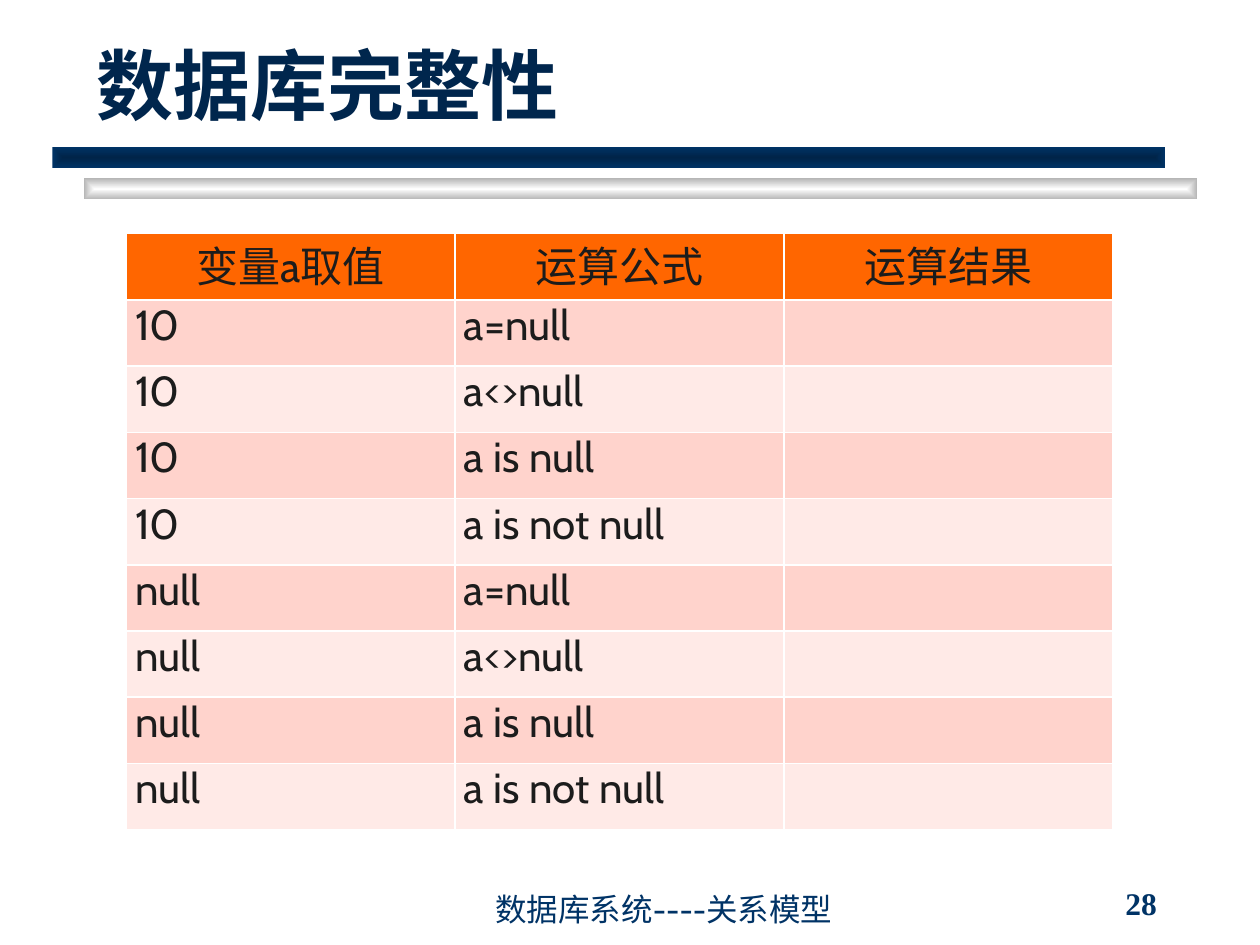
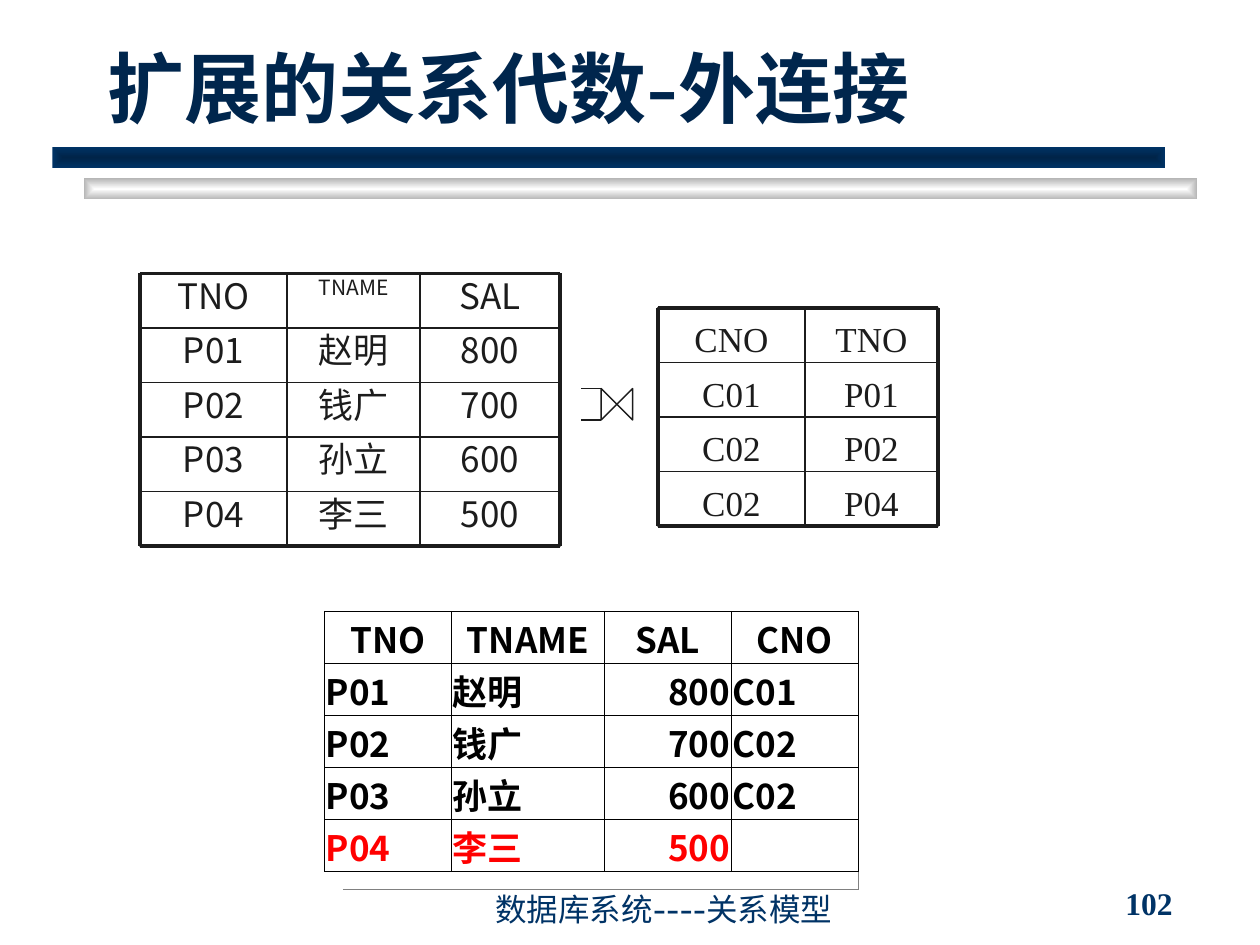
from itertools import accumulate

from lxml import etree
from pptx import Presentation
from pptx.dml.color import RGBColor
from pptx.enum.shapes import MSO_CONNECTOR, MSO_SHAPE
from pptx.enum.text import MSO_ANCHOR, MSO_AUTO_SIZE, PP_ALIGN
from pptx.oxml.ns import qn
from pptx.util import Pt

LEFT, CENTER, RIGHT, JUSTIFY = (PP_ALIGN.LEFT, PP_ALIGN.CENTER,
                                PP_ALIGN.RIGHT, PP_ALIGN.JUSTIFY)
TOP, MIDDLE, BOTTOM = MSO_ANCHOR.TOP, MSO_ANCHOR.MIDDLE, MSO_ANCHOR.BOTTOM
RECT, COLLATE = MSO_SHAPE.RECTANGLE, MSO_SHAPE.FLOWCHART_COLLATE
STRAIGHT = MSO_CONNECTOR.STRAIGHT
NO_AUTOFIT = MSO_AUTO_SIZE.NONE

COLORS = {
    "title": "00264D", "footer": "003366", "ink": "1C1C1C",
    "black": "000000", "white": "FFFFFF", "red": "FF0000", "gray": "808080",
    "header": "FF6600", "odd": "FFD3CC", "even": "FFEAE7",
}
CABIN, NOTO, TIMES = "Cabin", "Noto Sans CJK JP", "Times New Roman"
FOOTER = "数据库系统----关系模型"
SHADE = "46275"

# left, top, colour, index of the shaded gradient stop (0 centre, 1 edge)
BANDS = [(48, 102, "white", 1), (30, 84, "footer", 0)]


def add_run(p, text, size, font, color, bold=False):
    r = p.add_run()
    r.text = text
    r.font.size, r.font.name, r.font.bold = Pt(size), font, bold
    r.font.color.rgb = RGBColor.from_string(COLORS[color])


def add_grid(s, rows, left, top, widths, row_height, size, font, aligns, margins,
             line, line_width, bold=False, anchor=TOP, colors=None, fills=None):
    """Add a table whose first row is centred; colors and fills go by row."""
    shape = s.shapes.add_table(len(rows), len(widths), Pt(left), Pt(top),
                               Pt(sum(widths)), Pt(row_height * len(rows)))
    table = shape.table
    table.first_row = table.horz_banding = False
    for column, width in zip(table.columns, widths):
        column.width = Pt(width)
    for i, row in enumerate(rows):
        table.rows[i].height = Pt(row_height)
        for j, text in enumerate(row):
            cell = table.cell(i, j)
            tcPr = cell._tc.get_or_add_tcPr()
            for tag in ("lnL", "lnR", "lnT", "lnB"):
                ln = etree.SubElement(tcPr, qn(f"a:{tag}"), w=str(Pt(line_width)))
                solid = etree.SubElement(ln, qn("a:solidFill"))
                etree.SubElement(solid, qn("a:srgbClr"), val=COLORS[line])
            if fills:
                cell.fill.solid()
                cell.fill.fore_color.rgb = RGBColor.from_string(COLORS[fills[i]])
            else:
                cell.fill.background()
            cell.vertical_anchor = anchor
            (cell.margin_left, cell.margin_top,
             cell.margin_right, cell.margin_bottom) = map(Pt, margins)
            p = cell.text_frame.paragraphs[0]
            p.alignment = CENTER if i == 0 else aligns[j]
            if text:
                add_run(p, text, size, font, colors[i] if colors else "ink", bold)


prs = Presentation()
prs.slide_width, prs.slide_height = Pt(720), Pt(540)

# Title, title box and page number of each slide
pages = [
    ("数据库完整性", (48, 30, 612, 48), "28"),
    ("扩展的关系代数-外连接", (54, 18, 613.5, 61.5), "102"),
]
slides = []
for title, title_box, number in pages:
    s = prs.slides.add_slide(prs.slide_layouts[5])
    slides.append(s)

    for left, top, color, shaded in BANDS:
        sp = s.shapes.add_shape(RECT, Pt(left), Pt(top), Pt(636), Pt(12))
        sp.shadow.inherit = False
        sp.line.fill.background()
        sp.fill.gradient()
        for stop in sp.fill.gradient_stops:
            stop.color.rgb = RGBColor.from_string(COLORS[color])
        grad = sp._element.spPr.find(qn("a:gradFill"))
        stop_color = list(grad.iter(qn("a:srgbClr")))[shaded]
        etree.SubElement(stop_color, qn("a:shade"), val=SHADE)
        grad.remove(grad.find(qn("a:lin")))
        radial = etree.SubElement(grad, qn("a:path"), path="shape")
        etree.SubElement(radial, qn("a:fillToRect"),
                         dict.fromkeys("ltrb", "50000"))

    sp = s.shapes.title
    sp.left, sp.top, sp.width, sp.height = map(Pt, title_box)
    tf = sp.text_frame
    tf.auto_size, tf.vertical_anchor = NO_AUTOFIT, BOTTOM
    p = tf.paragraphs[0]
    p.alignment = LEFT
    add_run(p, title, 44, CABIN, "title", True)

    for text, box, font, bold, anchor in [
        (FOOTER, (276, 509.5, 294, 24), CABIN, False, BOTTOM),
        (number, (636, 504, 78, 24), TIMES, True, MIDDLE),
    ]:
        tf = s.shapes.add_textbox(*map(Pt, box)).text_frame
        tf.word_wrap, tf.vertical_anchor = True, anchor
        add_run(tf.paragraphs[0], text, 18, font, "footer", bold)

# Comparisons with null
integrity, outer_join = slides
formulas = ["a=null", "a<>null", "a is null", "a is not null"]
rows = [("变量a取值", "运算公式", "运算结果")]
rows += [(value, formula, "") for value in ("10", "null") for formula in formulas]
add_grid(integrity, rows, 72.2, 133.5, [187.9] * 3, 37.85, 24, CABIN, [JUSTIFY] * 3,
         (5, 0, 5, 0), "white", 1, fills=["header"] + ["odd", "even"] * 4)

# Operands of the outer join: framed cells, with rules over their edges
teachers = [("P01", "赵明", "800"), ("P02", "钱广", "700"),
            ("P03", "孙立", "600"), ("P04", "李三", "500")]
courses = [("CNO", "TNO"), ("C01", "P01"), ("C02", "P02"), ("C02", "P04")]
ROW_HEIGHT = 31.15
lines = []
for rows, left, top, widths, font, inset in [
    ([("TNO", "TNAME", "SAL")] + teachers, 80, 156.3, (84, 76, 80), NOTO, 0.5),
    (courses, 376, 176, (84, 76), TIMES, 5.5),
]:
    xs = list(accumulate(widths, initial=left))
    ys = [top + ROW_HEIGHT * i for i in range(len(rows) + 1)]
    for y, row in zip(ys, rows):
        for x, width, text in zip(xs, widths, row):
            sp = outer_join.shapes.add_shape(RECT, Pt(x), Pt(y), Pt(width),
                                             Pt(ROW_HEIGHT))
            sp.shadow.inherit = False
            sp.fill.background()
            sp.line.color.rgb = RGBColor.from_string(COLORS["ink"])
            sp.line.width = Pt(0.75)
            tf = sp.text_frame
            tf.vertical_anchor = TOP
            tf.margin_top, tf.margin_bottom = Pt(inset), 0
            p = tf.paragraphs[0]
            p.alignment = CENTER
            add_run(p, text, 12 if text == "TNAME" else 20, font, "ink")
    lines += [(xs[0], y, xs[-1], y, "ink", 2.25 if y in (ys[0], ys[-1]) else 1)
              for y in ys]
    lines += [(x, ys[0], x, ys[-1], "ink", 2.25 if x in (xs[0], xs[-1]) else 1)
              for x in xs]

# Left outer join sign
sp = outer_join.shapes.add_shape(COLLATE, Pt(343.5), Pt(222), Pt(18), Pt(18))
sp.rotation = 90
sp.shadow.inherit = False
sp.fill.background()
sp.line.color.rgb = RGBColor.from_string(COLORS["ink"])
sp.line.width = Pt(0.75)

# Bars of the join sign, then the thin corner under the result
lines += [
    (343.5, 222, 332, 222, "ink", 0.75),
    (343.5, 240, 332, 240, "ink", 0.75),
    (196, 508.5, 490.5, 508.5, "gray", 0.5),
    (490.5, 480, 490.5, 508.5, "gray", 0.5),
]
for x1, y1, x2, y2, color, width in lines:
    line = outer_join.shapes.add_connector(STRAIGHT, Pt(x1), Pt(y1), Pt(x2), Pt(y2))
    line.line.color.rgb = RGBColor.from_string(COLORS[color])
    line.line.width = Pt(width)
    etree.SubElement(line._element.spPr, qn("a:effectLst"))

# Result of the outer join
joined = [("TNO", "TNAME", "SAL", "CNO")]
joined += [(*teacher, course) for teacher, course
           in zip(teachers, ("C01", "C02", "C02", ""))]
add_grid(outer_join, joined, 185.5, 349.3, [72.5, 87.5, 72.5, 72.5], 29.75, 20, NOTO,
         [LEFT, LEFT, RIGHT, LEFT], (0.75, 0.75, 0.75, 0), "black", 0.5,
         bold=True, anchor=MIDDLE, colors=["black"] * 4 + ["red"])

prs.save("out.pptx")
